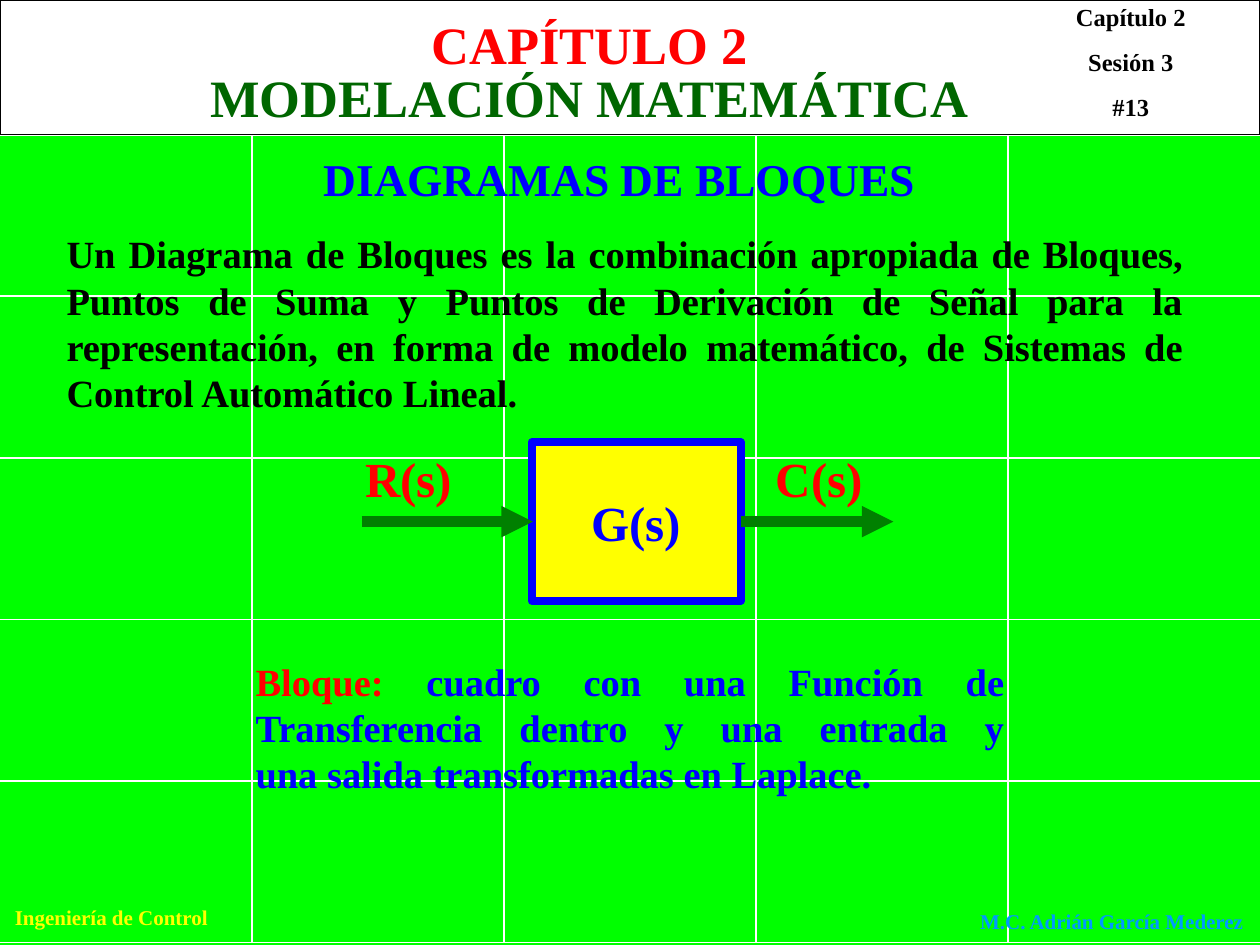
import pptx
import pptx.util
import pptx.dml.color
import pptx.enum.shapes
import pptx.enum.text
import pptx.oxml
import pptx.oxml.ns

PX = 9144
FONT = "Times New Roman"
COLORS = {
    "board": "00FF00", "white": "FFFFFF", "black": "000000", "red": "FF0000",
    "blue": "0000FF", "yellow": "FFFF00", "arrow": "008000",
    "title": "006600", "author": "0099FF",
}
ALIGN = pptx.enum.text.PP_ALIGN
ANCHOR = pptx.enum.text.MSO_ANCHOR
RECT = pptx.enum.shapes.MSO_SHAPE.RECTANGLE
STRAIGHT = pptx.enum.shapes.MSO_CONNECTOR.STRAIGHT


def rgb(name):
    """Return the named colour."""
    return pptx.dml.color.RGBColor.from_string(COLORS[name])


def emu(*lengths):
    """Turn px lengths into EMU."""
    return [round(n * PX) for n in lengths]


def write(tf, paragraphs, size, align=ALIGN.LEFT, gap=0):
    """Fill a text frame with paragraphs, each a list of (text, colour) runs."""
    tf.word_wrap = True
    for i, runs in enumerate(paragraphs):
        p = tf.add_paragraph() if i else tf.paragraphs[0]
        p.alignment = align
        p.space_before = pptx.util.Pt(gap if i else 0)
        p.font.name, p.font.size, p.font.bold = FONT, pptx.util.Pt(size), True
        for j, (text, color) in enumerate(runs):
            for k, part in enumerate(text.split("\n")):
                if k:
                    p.add_line_break()
                r = p.add_run()
                r.text = part
                r.font.color.rgb = rgb(color)


def add_text(s, box, paragraphs, size, align=ALIGN.LEFT, gap=0):
    """Add a text box."""
    sp = s.shapes.add_textbox(*emu(*box))
    write(sp.text_frame, paragraphs, size, align, gap)


def add_rect(s, box, fill, line, width):
    """Add a filled and outlined rectangle."""
    sp = s.shapes.add_shape(RECT, *emu(*box))
    sp.shadow.inherit = False
    sp.fill.solid()
    sp.fill.fore_color.rgb = rgb(fill)
    sp.line.color.rgb = rgb(line)
    sp.line.width = pptx.util.Pt(width)
    return sp


def add_line(s, ends, color, width, arrow=False):
    """Add a straight line, with an arrowhead at its end if asked."""
    sp = s.shapes.add_connector(STRAIGHT, *emu(*ends))
    sp.line.color.rgb = rgb(color)
    sp.line.width = pptx.util.Pt(width)
    if arrow:
        ln = sp.line._get_or_add_ln()
        tail = pptx.oxml.ns.qn("a:tailEnd")
        ln.append(ln.makeelement(tail, {"type": "triangle"}))
    props = sp._element.spPr
    props.append(props.makeelement(pptx.oxml.ns.qn("a:effectLst"), {}))


def add_grid(s, x, y, w, h, cols=5, rows=5):
    """Draw the white grid of the board."""
    for i in range(1, cols):
        cx = x + w * i / cols
        add_line(s, (cx, y, cx, y + h), "white", 1)
    for i in range(rows + 1):
        cy = y + h * i / rows
        add_line(s, (x, cy, x + w, cy), "white", 1)


def add_header(s, x, y, w, h):
    """Draw the white band with the chapter title and session number."""
    add_rect(s, (x, y, w, h), "white", "black", 0.75)
    labels = ["Capítulo 2", "Sesión 3", "#13"]
    add_text(s, (x + 815, y - 3, 165, 105), [[(t, "black")] for t in labels],
             14, ALIGN.CENTER, 8.8)
    titles = [("CAPÍTULO 2", "red"), ("MODELACIÓN MATEMÁTICA", "title")]
    for i, title in enumerate(titles):
        add_text(s, (x + 90, y + 5 + 42 * i, 756, 60), [[title]], 30, ALIGN.CENTER)


def add_footer(s, x, y, w, h):
    """Write the course and author names."""
    add_text(s, (x, y, 177, h), [[("Ingeniería de Control", "yellow")]],
             12, ALIGN.CENTER)
    add_text(s, (x + w - 232, y + 3, 232, h),
             [[("M.C. Adrián García Mederez", "author")]], 12)


def add_diagram(s, x, y, w, h):
    """Draw the transfer block with its input and output."""
    left, right, mid = x + 142, x + 308, y + h / 2
    sp = add_rect(s, (left, y, right - left, h), "yellow", "blue", 4.5)
    sp.text_frame.vertical_anchor = ANCHOR.MIDDLE
    write(sp.text_frame, [[("G(s)", "blue")]], 28, ALIGN.CENTER)
    add_line(s, (x + 7, mid, left + 1, mid), "arrow", 6, True)
    add_line(s, (right, mid, x + w - 11, mid), "arrow", 6, True)
    add_text(s, (x, y, 102, h), [[("R(s)", "red")]], 28)
    add_text(s, (x + w - 114, y, 114, h), [[("C(s)", "red")]], 28)


def add_definitions(s, x, y, w, h):
    """Write the heading and the two definitions."""
    add_text(s, (x + 8, y, 882, 54), [[("DIAGRAMAS DE BLOQUES", "blue")]],
             26, ALIGN.CENTER)
    text = ("Un Diagrama de Bloques es la combinación apropiada de Bloques, "
            "Puntos de Suma y Puntos de Derivación de Señal para la "
            "representación, en forma de modelo matemático, de Sistemas de "
            "Control Automático Lineal.")
    add_text(s, (x, y + 63, w, 157), [[(text, "black")]], 22, ALIGN.JUSTIFY)
    text = ("cuadro con una Función de Transferencia dentro y una entrada y\n"
            "una salida transformadas en Laplace.")
    add_text(s, (x + 150, y + h - 120, 614, 120),
             [[("Bloque: ", "red"), (text, "blue")]], 22, ALIGN.JUSTIFY)


def main():
    """Build and save the slide."""
    prs = pptx.Presentation()
    prs.slide_width, prs.slide_height = emu(1000, 750)
    s = prs.slides.add_slide(prs.slide_layouts[6])
    s.background.fill.solid()
    s.background.fill.fore_color.rgb = rgb("board")
    add_grid(s, 0, 107, 1000, 641)
    add_header(s, 0, 0, 1000, 107)
    add_footer(s, 0, 713, 1000, 30)
    add_diagram(s, 280, 351, 440, 126)
    add_definitions(s, 43, 115, 906, 522)
    prs.save("out.pptx")


if __name__ == "__main__":
    main()
